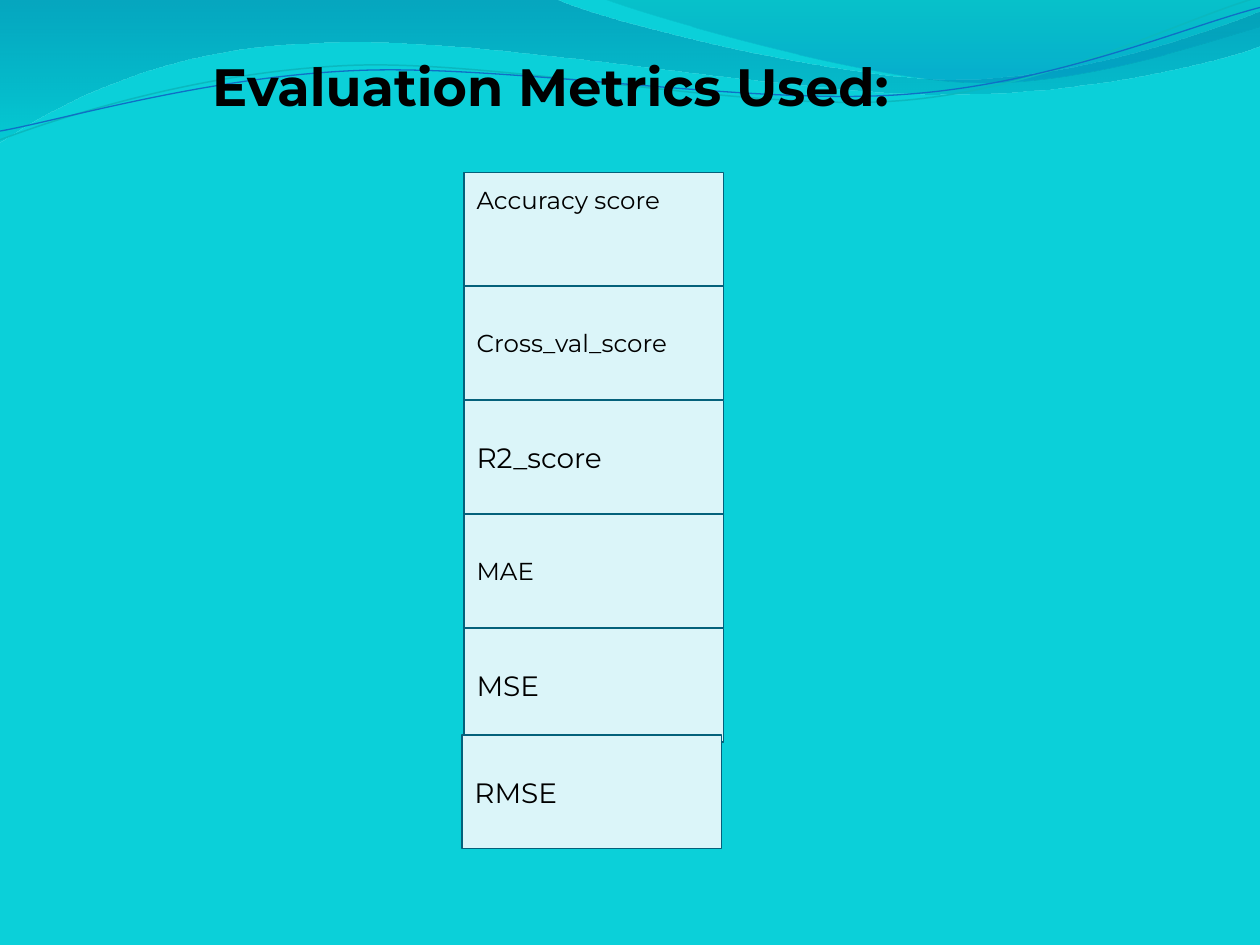
from dataclasses import dataclass
from math import cos, radians, sin

from lxml.etree import SubElement
from pptx import Presentation
from pptx.dml.color import RGBColor
from pptx.enum.shapes import MSO_SHAPE
from pptx.enum.text import MSO_ANCHOR, MSO_AUTO_SIZE, PP_ALIGN
from pptx.oxml.ns import qn
from pptx.util import Pt

Point = tuple[float, float]

TURQUOISE = RGBColor(0x0B, 0xD0, 0xD9)
PALE = RGBColor(0xDB, 0xF5, 0xF9)
NAVY = RGBColor(0x04, 0x61, 0x7B)
BLACK = RGBColor(0, 0, 0)
TEAL = RGBColor(0x0A, 0xB8, 0xBF)
BLUE = RGBColor(0x0F, 0x6F, 0xC6)
FONT = "Montserrat"
BOX_LEFT, BOX_TOP, BOX_W, BOX_H, PITCH = 265.2, 98.4, 148.4, 65, 65.15
TILT = -2.7


@dataclass
class Stop:
    position: float
    color: RGBColor
    opacity: int


@dataclass
class Wave:
    """An outline in points; a segment holds one point (line) or three (Bezier)."""
    start: Point
    segments: list[tuple[Point, ...]]
    stops: tuple[Stop, ...] = ()
    line: RGBColor | None = None
    width: float = 0
    center: Point = (0, 0)
    rotation: float = 0


@dataclass
class Metric:
    name: str
    size: int
    left: float
    top: float
    anchor: MSO_ANCHOR = MSO_ANCHOR.MIDDLE


WAVES = [
    Wave((0, 0), [
        ((317, -0.7),),
        ((343, 12), (478, 45.4), (546, 45.4)),
        ((614, 45.4), (690, 18.7), (720, 6.5)),
        ((720.7, 26),),
        ((708, 31.7), (626, 54.7), (537, 54)),
        ((448, 54), (275, 20.2), (185, 24.5)),
        ((93, 26), (33, 59.8), (-0.7, 81.4)),
        ((0, 0),),
    ], stops=(Stop(0, RGBColor(0x00, 0x74, 0xA1), 45),
              Stop(1, RGBColor(0x00, 0xC6, 0xCF), 55))),
    Wave((345, -0.7), [
        ((366.5, 8), (491, 44.6), (553.7, 46.8)),
        ((616, 49.7), (692, 23), (720, 15)),
        ((720, 0),),
        ((345, -0.7),),
    ], stops=(Stop(0, RGBColor(0x00, 0xA1, 0xA9), 30),
              Stop(0.8, RGBColor(0x00, 0x8B, 0xBF), 45))),
    Wave((0, 79.9), [
        ((34.6, 67), (113.8, 41), (199.4, 37.4)),
        ((284.4, 33.8), (427, 64), (513.4, 57.6)),
        ((599.8, 51), (675.4, 10.8), (718.6, -1.4)),
    ], line=TEAL, width=0.85, center=(359.3, 41.4), rotation=TILT),
    Wave((0, 74.9), [
        ((33.8, 69), (118, 43.9), (203.8, 40.3)),
        ((290.2, 36.7), (429.8, 60.5), (516.2, 54)),
        ((602, 48.2), (677.5, 15.1), (720, 4.3)),
    ], line=BLUE, width=0.75, center=(359.6, 42.5), rotation=TILT),
]


def stacked(row: int, name: str, size: int,
            anchor: MSO_ANCHOR = MSO_ANCHOR.MIDDLE) -> Metric:
    return Metric(name, size, BOX_LEFT, BOX_TOP + row * PITCH, anchor)


STACKED_METRICS = [
    stacked(3, "MAE", 14),
    stacked(1, "Cross_val_score", 14),
    stacked(2, "R2_score", 16),
    stacked(4, "MSE", 16),
    stacked(0, "Accuracy score", 14, MSO_ANCHOR.TOP),
]
LAST_METRIC = Metric("RMSE", 16, 264, 420)


def turned(point: Point, center: Point, degrees: float) -> Point:
    a = radians(degrees)
    dx, dy = point[0] - center[0], point[1] - center[1]
    return (center[0] + dx * cos(a) - dy * sin(a),
            center[1] + dx * sin(a) + dy * cos(a))


def curve_path(sp, segments: list[tuple[Point, ...]]) -> None:
    """Join the line steps of each three-point segment into one Bezier curve."""
    steps = iter(list(sp._element.spPr.iter(qn("a:lnTo"))))
    for seg in segments:
        first = next(steps)
        if len(seg) == 3:
            first.tag = qn("a:cubicBezTo")
            for _ in range(2):
                step = next(steps)
                first.append(step[0])
                step.getparent().remove(step)


def add_wave(shapes, wave: Wave):
    points = [wave.start] + [pt for seg in wave.segments for pt in seg]
    flat = [turned(pt, wave.center, -wave.rotation) for pt in points]
    emu = [(Pt(x), Pt(y)) for x, y in flat]
    builder = shapes.build_freeform(*emu[0])
    builder.add_line_segments(emu[1:], close=bool(wave.stops))
    sp = builder.convert_to_shape()
    curve_path(sp, wave.segments)
    sp.rotation = wave.rotation
    sp.shadow.inherit = False
    if wave.stops:
        sp.line.fill.background()
        sp.fill.gradient()
        sp.fill.gradient_angle = 270
        for grad_stop, stop in zip(sp.fill.gradient_stops, wave.stops):
            grad_stop.position = stop.position
            grad_stop.color.rgb = stop.color
        colors = sp._element.spPr.iter(qn("a:srgbClr"))
        for color, stop in zip(list(colors), wave.stops):
            SubElement(color, qn("a:alpha"), val=str(stop.opacity * 1000))
    else:
        sp.fill.background()
        sp.line.color.rgb = wave.line
        sp.line.width = Pt(wave.width)
    return sp


def set_text(tf, text: str, size: int, anchor: MSO_ANCHOR, bold: bool = False) -> None:
    tf.text = text
    tf.word_wrap = True
    tf.auto_size = MSO_AUTO_SIZE.NONE
    tf.vertical_anchor = anchor
    tf.margin_left = tf.margin_right = tf.margin_top = tf.margin_bottom = Pt(7.2)
    p = tf.paragraphs[0]
    p.alignment = PP_ALIGN.LEFT
    font = p.runs[0].font
    font.name, font.size, font.bold = FONT, Pt(size), bold
    font.color.rgb = BLACK


def add_metric(shapes, metric: Metric) -> None:
    sp = shapes.add_shape(MSO_SHAPE.RECTANGLE, Pt(metric.left), Pt(metric.top),
                          Pt(BOX_W), Pt(BOX_H))
    sp.shadow.inherit = False
    sp.fill.solid()
    sp.fill.fore_color.rgb = PALE
    sp.line.color.rgb = NAVY
    sp.line.width = Pt(0.75)
    set_text(sp.text_frame, metric.name, metric.size, metric.anchor)
    sp.text_frame.paragraphs[0].space_before = Pt(6)


def main() -> None:
    prs = Presentation()
    prs.slide_width, prs.slide_height = Pt(720), Pt(540)
    slide = prs.slides.add_slide(prs.slide_layouts[5])
    master = prs.slide_master
    master.background.fill.solid()
    master.background.fill.fore_color.rgb = TURQUOISE
    shapes = slide.shapes
    for index, wave in enumerate(WAVES, start=2):  # behind the master's placeholders
        master.shapes._spTree.insert(index, add_wave(shapes, wave)._element)

    for metric in STACKED_METRICS:
        add_metric(shapes, metric)
    title = shapes.title
    title.left, title.top, title.width, title.height = Pt(114), Pt(23.6), Pt(474), Pt(63.4)
    set_text(title.text_frame, "Evaluation Metrics Used:", 30, MSO_ANCHOR.TOP, bold=True)
    shapes._spTree.append(title._element)
    add_metric(shapes, LAST_METRIC)

    prs.save("out.pptx")


if __name__ == "__main__":
    main()
